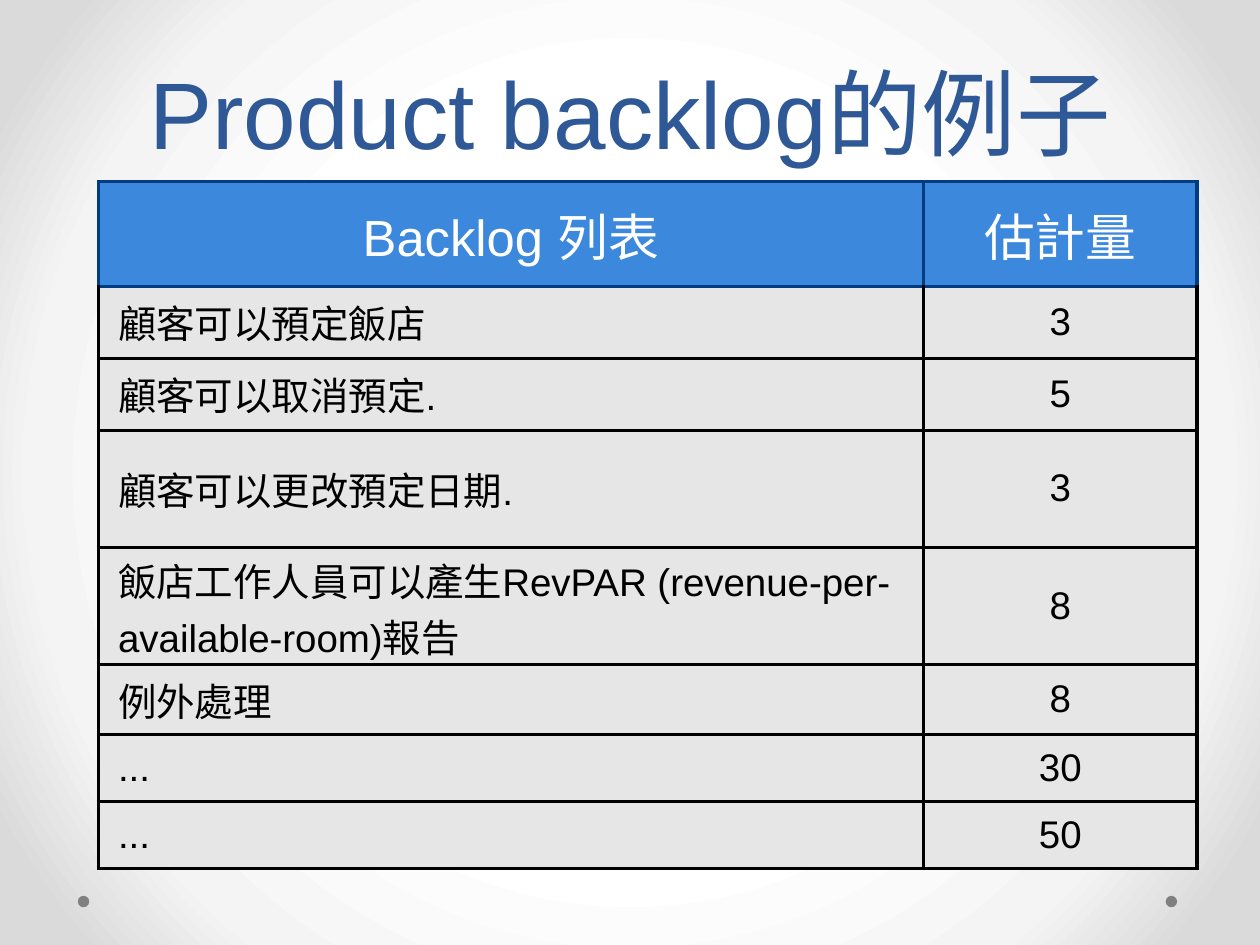
from dataclasses import dataclass

from lxml import etree
from pptx import Presentation
from pptx.dml.color import RGBColor
from pptx.enum.shapes import MSO_SHAPE
from pptx.enum.text import MSO_ANCHOR as Anchor, PP_ALIGN as Align
from pptx.oxml import parse_xml
from pptx.oxml.ns import nsdecls, qn
from pptx.util import Cm, Pt

HEADER_FILL, HEADER_LINE = "3C88DC", "003C83"
BODY_FILL, BODY_LINE = "E6E6E6", "000000"
BORDER = Pt(2)
COLUMN_WIDTHS = (16.64, 5.51)


@dataclass(frozen=True)
class Row:
    item: str
    estimate: str
    height: float


HEADER = Row("Backlog 列表", "估計量", 2.11)
BACKLOG = (
    Row("顧客可以預定飯店", "3", 1.45),
    Row("顧客可以取消預定.", "5", 1.45),
    Row("顧客可以更改預定日期.", "3", 2.36),
    Row("飯店工作人員可以產生RevPAR (revenue-per-available-room)報告", "8", 2.36),
    Row("例外處理", "8", 1.42),
    Row("...", "30", 1.35),
    Row("...", "50", 1.35),
)


def rgb(color: str) -> RGBColor:
    return RGBColor.from_string(color)


def write(tf, text: str, *, size: float, color: str, align=Align.LEFT,
          indent: float = 0, line_spacing=None) -> None:
    p = tf.paragraphs[0]
    p.alignment = align
    if line_spacing:
        p.line_spacing = line_spacing
    if indent:
        p._p.get_or_add_pPr().set("marL", str(Cm(indent)))
    r = p.add_run()
    r.text = text
    r.font.name = "Arial"
    r.font.size = Pt(size)
    r.font.color.rgb = rgb(color)


def set_background(s) -> None:
    """Fill the background with a radial gradient, white in the middle."""
    stops = "".join(
        f'<a:gs pos="{pos * 1000}"><a:srgbClr val="{color}"/></a:gs>'
        for pos, color in ((50, "FFFFFF"), (76, "F4F4F4"), (92, "DADADA")))
    radial = parse_xml(
        f'<a:gradFill {nsdecls("a")} rotWithShape="1"><a:gsLst>{stops}</a:gsLst>'
        '<a:path path="circle">'
        '<a:fillToRect l="50000" t="50000" r="50000" b="50000"/>'
        '</a:path></a:gradFill>')
    s.background.fill.gradient()
    linear = next(s.element.iter(qn("a:gradFill")))
    linear.getparent().replace(linear, radial)


def add_dot(s, left: float) -> None:
    sp = s.shapes.add_shape(MSO_SHAPE.OVAL, Cm(left), Cm(18.06), Cm(0.23), Cm(0.23))
    sp.shadow.inherit = False
    sp.fill.solid()
    sp.fill.fore_color.rgb = rgb("808080")
    sp.line.fill.background()


def add_title(s, text: str) -> None:
    tf = s.shapes.add_textbox(Cm(1.27), 0, Cm(22.86), Cm(3.53)).text_frame
    tf.word_wrap = True
    tf.vertical_anchor = Anchor.BOTTOM
    write(tf, text, size=54, color="2F5897", align=Align.CENTER, line_spacing=Pt(58))


def set_borders(cell, color: str, top: str) -> None:
    tcPr = cell._tc.get_or_add_tcPr()
    sides = {"lnL": color, "lnR": color, "lnT": top, "lnB": color}
    for i, (side, line_color) in enumerate(sides.items()):
        ln = etree.Element(qn(f"a:{side}"), w=str(BORDER))
        fill = etree.SubElement(ln, qn("a:solidFill"))
        etree.SubElement(fill, qn("a:srgbClr"), val=line_color)
        tcPr.insert(i, ln)


def style_cell(cell, fill: str, line: str, top: str) -> None:
    cell.fill.solid()
    cell.fill.fore_color.rgb = rgb(fill)
    cell.vertical_anchor = Anchor.MIDDLE
    cell.margin_left = cell.margin_right = Cm(0.1)
    cell.margin_top = cell.margin_bottom = Cm(0.1)
    set_borders(cell, line, top)


def add_backlog_table(s) -> None:
    rows = (HEADER, *BACKLOG)
    table = s.shapes.add_table(
        len(rows), len(COLUMN_WIDTHS), Cm(1.98), Cm(3.66),
        Cm(sum(COLUMN_WIDTHS)), Cm(sum(row.height for row in rows))).table
    table.first_row = table.horz_banding = False
    for column, width in zip(table.columns, COLUMN_WIDTHS):
        column.width = Cm(width)
    for i, row in enumerate(rows):
        table.rows[i].height = Cm(row.height)
        item, estimate = table.cell(i, 0), table.cell(i, 1)
        is_header = i == 0
        fill, line = (HEADER_FILL, HEADER_LINE) if is_header else (BODY_FILL, BODY_LINE)
        top = HEADER_LINE if i <= 1 else BODY_LINE
        for cell in (item, estimate):
            style_cell(cell, fill, line, top)
        font = {"size": 29, "color": "FFFFFF"} if is_header else {"size": 22, "color": "000000"}
        layout = {"align": Align.CENTER} if is_header else {"indent": 0.3}
        write(item.text_frame, row.item, **font, **layout)
        write(estimate.text_frame, row.estimate, align=Align.CENTER, **font)


def main() -> None:
    prs = Presentation()
    prs.slide_width, prs.slide_height = Cm(25.4), Cm(19.05)
    s = prs.slides.add_slide(prs.slide_layouts[6])
    set_background(s)
    for left in (23.5, 1.57):
        add_dot(s, left)
    add_title(s, "Product backlog的例子")
    add_backlog_table(s)
    prs.save("out.pptx")


if __name__ == "__main__":
    main()
